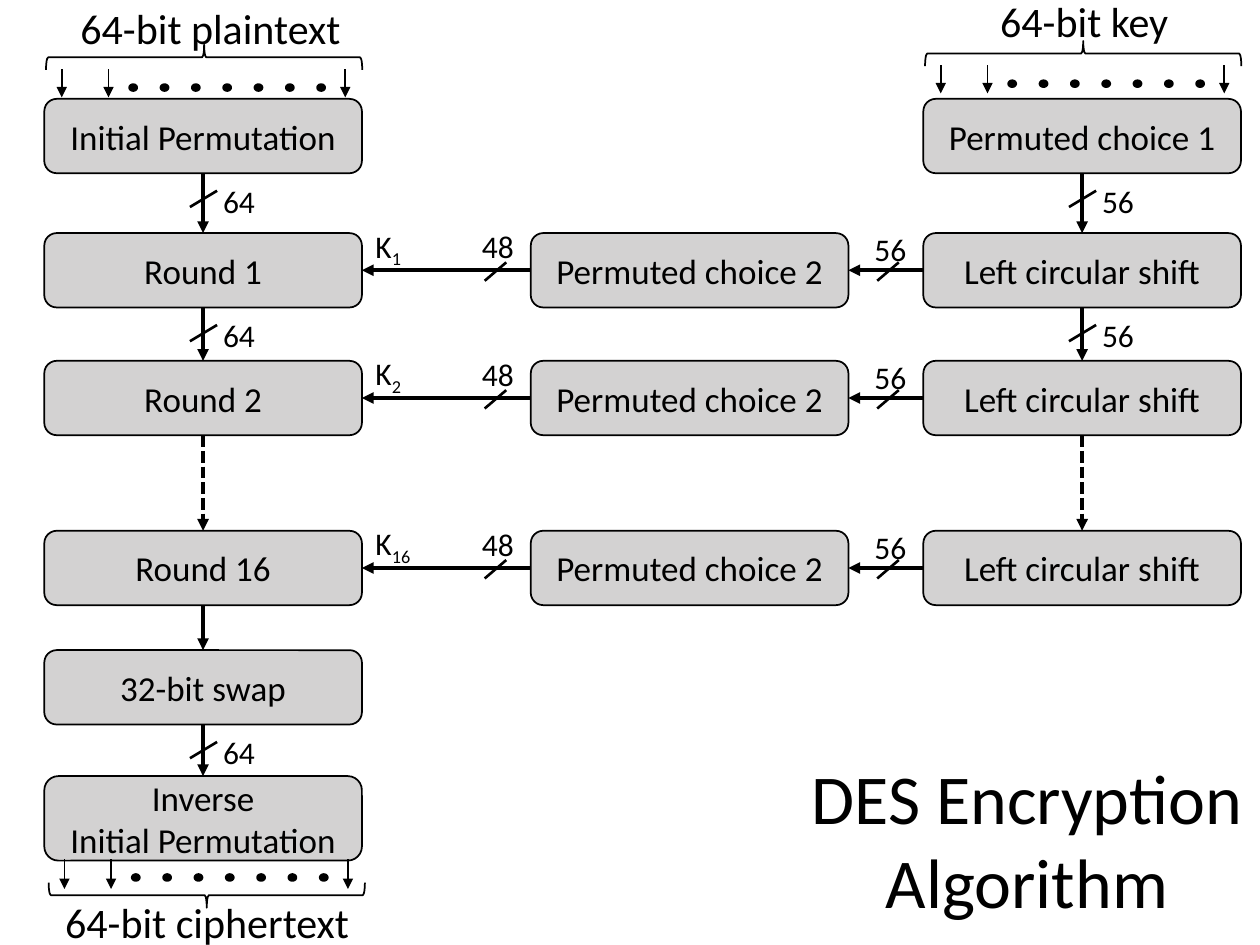
from lxml import etree
from pptx import Presentation
from pptx.dml.color import RGBColor
from pptx.enum.dml import MSO_LINE
from pptx.enum.shapes import MSO_CONNECTOR, MSO_SHAPE
from pptx.enum.text import MSO_ANCHOR, PP_ALIGN
from pptx.oxml.ns import qn
from pptx.util import Pt

STRAIGHT = MSO_CONNECTOR.STRAIGHT
ROUNDED, OVAL, BRACE = MSO_SHAPE.ROUNDED_RECTANGLE, MSO_SHAPE.OVAL, MSO_SHAPE.LEFT_BRACE
DASH = MSO_LINE.SQUARE_DOT
MIDDLE, TOP_ANCHOR = MSO_ANCHOR.MIDDLE, MSO_ANCHOR.TOP
CENTER, LEFT_ALIGN = PP_ALIGN.CENTER, PP_ALIGN.LEFT
TOP, LEFT, BOTTOM, RIGHT = range(4)

COLORS = {"ink": "000000", "step": "D3D2D2"}
STEP_W, STEP_H = 181.5, 42.5
DATA_X, SUBKEY_X, KEY_X = 25.3, 303.3, 527.6
START_Y, SWAP_Y, INVERSE_Y, INVERSE_H = 56.5, 371.5, 443.5, 48.3
ROUNDS = [("1", 133.2), ("2", 206.2), ("16", 303.3)]


def color(name):
    return RGBColor.from_string(COLORS[name])


def write(shape, lines, size, align=LEFT_ALIGN, anchor=TOP_ANCHOR, subscript=""):
    frame = shape.text_frame
    frame.word_wrap = True
    frame.vertical_anchor = anchor
    for index, line in enumerate(lines):
        paragraph = frame.paragraphs[0] if index == 0 else frame.add_paragraph()
        paragraph.alignment = align
        for part in filter(None, (line, subscript)):
            run = paragraph.add_run()
            run.text = part
            for name, value in {"name": "Calibri", "size": Pt(size)}.items():
                setattr(run.font, name, value)
            run.font.color.rgb = color("ink")
            if part is subscript:
                run._r.get_or_add_rPr().set("baseline", "-25000")


def label(shapes, box, text, size=18, **style):
    write(shapes.add_textbox(*map(Pt, box)), [text], size, **style)


def outlined(shapes, kind, box, width=1, fill=None):
    shape = shapes.add_shape(kind, *map(Pt, box))
    shape.shadow.inherit = False
    if fill:
        shape.fill.solid()
        shape.fill.fore_color.rgb = color(fill)
    else:
        shape.fill.background()
    shape.line.color.rgb = color("ink")
    shape.line.width = Pt(width)
    return shape


def step(slide, left, top, *lines, height=STEP_H):
    shape = outlined(slide.shapes, ROUNDED, (left, top, STEP_W, height), fill="step")
    write(shape, lines, 20, CENTER, MIDDLE)
    return shape


def stroke(shapes, start, end, width, arrow=False, dash=None):
    line = shapes.add_connector(STRAIGHT, *map(Pt, (*start, *end)))
    formats = {"width": Pt(width), "dash_style": dash}
    for name, value in formats.items():
        setattr(line.line, name, value)
    line.line.color.rgb = color("ink")
    properties = line._element.spPr
    if arrow:
        etree.SubElement(properties.find(qn("a:ln")), qn("a:tailEnd"), type="triangle")
    etree.SubElement(properties, qn("a:effectLst"))
    return line


def side_middle(shape, side):
    x, y, w, h = (v.pt for v in (shape.left, shape.top, shape.width, shape.height))
    return {TOP: (x + w / 2, y), LEFT: (x, y + h / 2),
            BOTTOM: (x + w / 2, y + h), RIGHT: (x + w, y + h / 2)}[side]


def link(shapes, source, source_side, target, target_side, dash=None):
    start = side_middle(source, source_side)
    line = stroke(shapes, start, side_middle(target, target_side), 2.25, True, dash)
    line.begin_connect(source, source_side)
    line.end_connect(target, target_side)
    return start


def link_down(slide, upper, lower, bits=None, dash=None):
    shapes = slide.shapes.add_group_shape().shapes if bits else slide.shapes
    x, y = link(shapes, upper, BOTTOM, lower, TOP, dash)
    if bits:
        stroke(shapes, (x - 7.5, y + 19.3), (x + 8, y + 10), 1.5)
        label(shapes, (x + 4.3, y + 1.2, 34.6, 28.8), bits)


def link_left(slide, right_step, left_step, bits, lift):
    shapes = slide.shapes.add_group_shape().shapes
    x, y = link(shapes, right_step, LEFT, left_step, RIGHT)
    stroke(shapes, (x - 26.3, y + 6), (x - 14, y - 4.5), 1.5)
    label(shapes, (x - 35, y - lift, 34.6, 28.8), bits)


def bit_bundle(slide, left, arrow_top, arrow_length, brace_top, turn, caption, caption_box):
    shapes = slide.shapes.add_group_shape().shapes
    span, depth = 180.7, 14.4
    brace_box = (left + 1 + (span - depth) / 2, brace_top - (span - depth) / 2, depth, span)
    outlined(shapes, BRACE, brace_box).rotation = turn
    for offset in (10, 36.7, 172):
        x = left + offset
        stroke(shapes, (x, arrow_top), (x, arrow_top + arrow_length), 1, True)
    for index in range(7):
        dot_box = (left + 49 + 17.9 * index, arrow_top + 9, 3.6, 2.9)
        outlined(shapes, OVAL, dot_box, 2, "ink")
    label(shapes, caption_box, caption, 24)


def data_column(slide):
    initial = step(slide, DATA_X, START_Y, "Initial Permutation")
    rounds = [step(slide, DATA_X, y, f"Round {number}") for number, y in ROUNDS]
    swap = step(slide, DATA_X, SWAP_Y, "32-bit swap")
    inverse = step(slide, DATA_X, INVERSE_Y, "Inverse", "Initial Permutation",
                   height=INVERSE_H)
    link_down(slide, initial, rounds[0], "64")
    link_down(slide, rounds[0], rounds[1], "64")
    link_down(slide, rounds[1], rounds[2], dash=DASH)
    link_down(slide, rounds[2], swap)
    link_down(slide, swap, inverse, "64")
    bit_bundle(slide, DATA_X, 39.6, 16, 25.6, 90,
               "64-bit plaintext", (38.9, -2.2, 167, 36))
    bit_bundle(slide, DATA_X + 1.5, 491, 17, 504.3, 270,
               "64-bit ciphertext", (30.2, 509, 184.3, 36))
    return rounds


def key_column(slide):
    choice = step(slide, KEY_X, START_Y, "Permuted choice 1")
    shifts = [step(slide, KEY_X, y, "Left circular shift") for _, y in ROUNDS]
    link_down(slide, choice, shifts[0], "56")
    link_down(slide, shifts[0], shifts[1], "56")
    link_down(slide, shifts[1], shifts[2], dash=DASH)
    bit_bundle(slide, KEY_X, 37.4, 16, 23.4, 90,
               "64-bit key", (564.5, -5.8, 113, 36))
    return shifts


def subkey_row(slide, number, top, shift, data_round):
    choice = step(slide, SUBKEY_X, top, "Permuted choice 2")
    link_left(slide, shift, choice, "56", 26.5)
    link_left(slide, choice, data_round, "48", 28)
    x, y = side_middle(data_round, RIGHT)
    label(slide.shapes, (x + 0.7, y - 28.5, 39, 28.8), "K", subscript=number)


def main():
    deck = Presentation()
    deck.slide_width, deck.slide_height = Pt(720), Pt(540)
    slide = deck.slides.add_slide(deck.slide_layouts[6])
    rounds = data_column(slide)
    shifts = key_column(slide)
    for (number, top), shift, data_round in zip(ROUNDS, shifts, rounds):
        subkey_row(slide, number, top, shift, data_round)
    label(slide.shapes, (433.5, 427.7, 306.7, 78.5), "DES Encryption Algorithm", 40,
          align=CENTER)
    deck.save("out.pptx")


if __name__ == "__main__":
    main()
